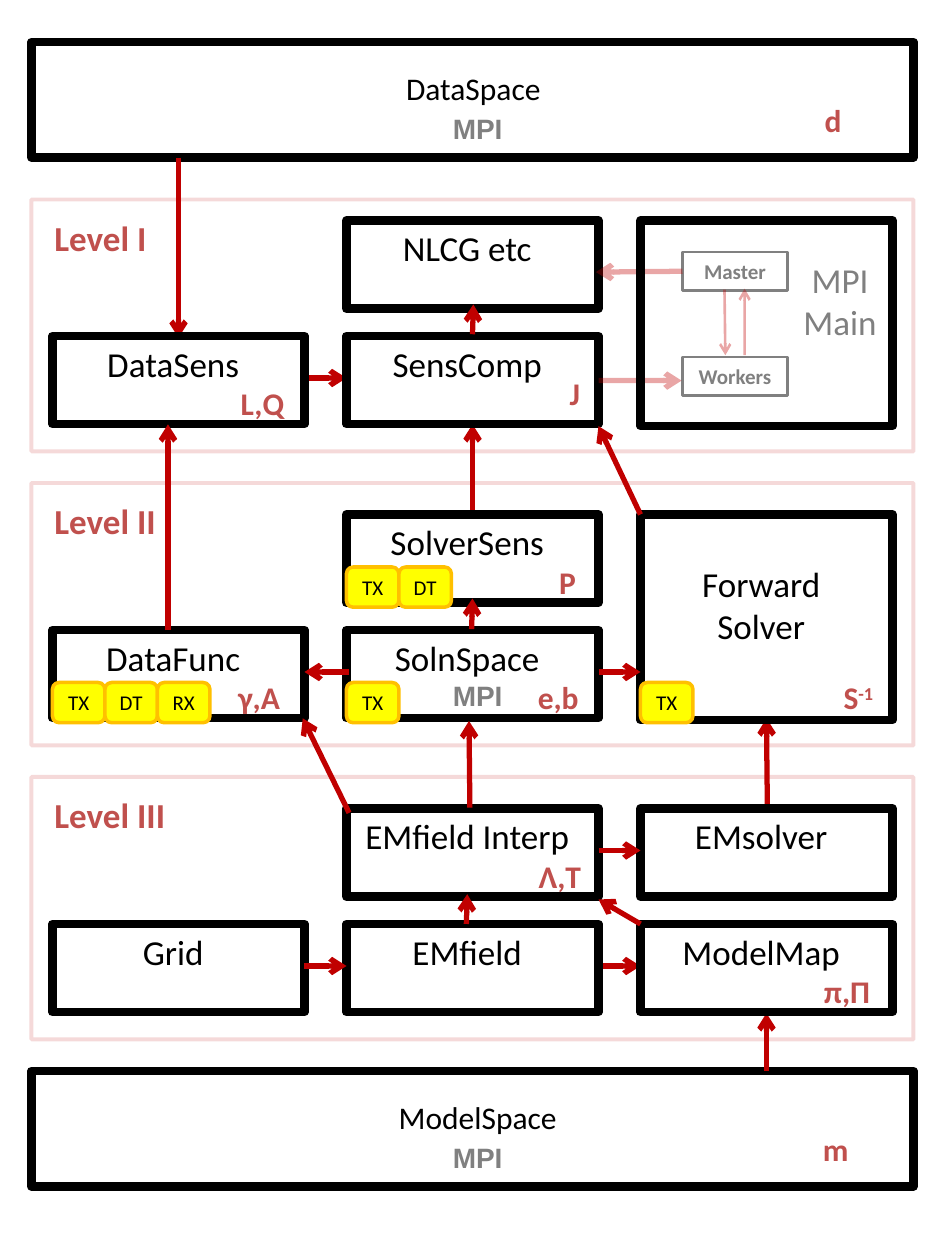
from lxml.etree import SubElement
from pptx import Presentation
from pptx.dml.color import RGBColor
from pptx.enum.shapes import MSO_CONNECTOR, MSO_SHAPE
from pptx.enum.text import MSO_ANCHOR, PP_ALIGN
from pptx.oxml.ns import qn
from pptx.util import Pt

COLORS = {"black": "000000", "arrow": "C00000", "symbol": "C0504D", "gray": "808080",
          "tag": "FFFF00", "tag_edge": "FFC000"}

# Grid of modules: column lefts, box sizes
COLUMNS = (30, 198, 366)
BOX_W, BOX_H, TALL_H = 144, 50.4, 117.4
TAG_W, TAG_H = 30, 23

# Levels: name, top, height
LEVELS = [("Level I", 114, 144), ("Level II", 276, 150), ("Level III", 444, 150)]

# Full-width spaces: name, top, name left, name top, name width
SPACES = [("DataSpace", 24, 222, 36, 97), ("ModelSpace", 612, 174, 624, 198)]

# Modules: name, column, top, tags
MODULES = [
    ("NLCG etc", 1, 126, ()),
    ("DataSens", 0, 192, ()),
    ("SensComp", 1, 192, ()),
    ("SolverSens", 1, 294, ("TX", "DT")),
    ("DataFunc", 0, 360, ("TX", "DT", "RX")),
    ("SolnSpace", 1, 360, ("TX",)),
    ("EMfield Interp", 1, 462, ()),
    ("EMsolver", 2, 462, ()),
    ("Grid", 0, 528, ()),
    ("EMfield", 1, 528, ()),
    ("ModelMap", 2, 528, ()),
]

# Symbols: text (^ starts a superscript), left, top, width
SYMBOLS = [
    ("d", 462, 54, 28), ("L,Q", 126, 216, 48), ("J", 318, 210, 21),
    ("P", 312, 318, 24.5), ("γ,A", 126, 384, 44), ("e,b", 300, 384, 38),
    ("S^-1", 474, 384, 33), ("Λ,T ", 300, 486, 44), ("π,Π ", 462, 552, 48),
    ("m ", 444, 642, 71),
]
MPI_TOPS = (60, 384, 648)

# Arrows: start x, start y, tip x, tip y
ARROWS_BEHIND = [
    (174, 216, 198, 216), (102, 90, 102, 193), (438, 612, 438, 579),
    (342, 552, 366, 552), (438.5, 461, 438, 410.5), (270, 294, 270, 242.5),
]
ARROWS_FRONT = [
    (366, 528, 342, 514), (342, 486, 366, 486), (269.5, 359.5, 270, 342),
    (199.5, 464.5, 173, 410.5), (268.5, 461.5, 268, 412), (199.5, 384, 174, 384),
    (342, 384, 366, 384), (96, 360, 96, 242.5), (366, 294, 342, 243.5),
    (174, 552, 198, 552), (266.5, 528, 267, 511), (270, 191, 270.5, 174),
]
# MPI arrows: start x, start y, tip x, tip y, line width
MPI_ARROWS = [
    (390, 155, 340.5, 155.5, 3), (342, 217.5, 389.5, 217.5, 3),
    (425.5, 203, 425.5, 165, 1.5), (414, 165.5, 414.5, 203, 1.5),
]
PROCESSES = [("Master", 144), ("Workers", 204)]

prs = Presentation()
prs.slide_width, prs.slide_height = Pt(540), Pt(720)
slide = prs.slides.add_slide(prs.slide_layouts[6])


def rgb(name):
    return RGBColor.from_string(COLORS[name])


def style_line(line, color, width, opacity=100):
    line.color.rgb = rgb(color)
    line.width = Pt(width)
    if opacity < 100:
        color_xml = line.fill._xPr.find(qn("a:solidFill"))[0]
        SubElement(color_xml, qn("a:alpha"), val=str(opacity * 1000))


def write(shape, text, size=20, color="black", bold=False, font="Calibri",
          align=PP_ALIGN.CENTER, anchor=MSO_ANCHOR.TOP, inset=0, inset_y=3.6):
    frame = shape.text_frame
    frame.word_wrap = True
    frame.vertical_anchor = anchor
    frame.margin_left = frame.margin_right = Pt(inset)
    frame.margin_top = frame.margin_bottom = Pt(inset_y)
    paragraph = frame.paragraphs[0]
    paragraph.alignment = align
    for i, part in enumerate(text.split("^")):
        run = paragraph.add_run()
        run.text = part
        run.font.size, run.font.bold, run.font.name = Pt(size), bold, font
        run.font.color.rgb = rgb(color)
        if i:
            run._r.get_or_add_rPr().set("baseline", "30000")


def add_label(text, x, y, w, h=32, **text_format):
    write(slide.shapes.add_textbox(Pt(x), Pt(y), Pt(w), Pt(h)), text, **text_format)


def add_box(x, y, w, h, color="black", width=5, opacity=100, fill=None,
            kind=MSO_SHAPE.RECTANGLE):
    box = slide.shapes.add_shape(kind, Pt(x), Pt(y), Pt(w), Pt(h))
    box.shadow.inherit = False
    if fill:
        box.fill.solid()
        box.fill.fore_color.rgb = rgb(fill)
    else:
        box.fill.background()
    style_line(box.line, color, width, opacity)
    return box


def add_arrow(x1, y1, x2, y2, width=3, opacity=100):
    arrow = slide.shapes.add_connector(MSO_CONNECTOR.STRAIGHT, Pt(x1), Pt(y1), Pt(x2), Pt(y2))
    style_line(arrow.line, "arrow", width, opacity)
    SubElement(arrow.line._get_or_add_ln(), qn("a:tailEnd"), type="arrow")
    SubElement(arrow._element.spPr, qn("a:effectLst"))


def add_tags(tags, x, y):
    for i, tag in enumerate(tags):
        box = add_box(x + i * TAG_W, y, TAG_W, TAG_H, "tag_edge", 2, fill="tag",
                      kind=MSO_SHAPE.ROUNDED_RECTANGLE)
        write(box, tag, size=12, anchor=MSO_ANCHOR.MIDDLE)


# Level frames and full-width spaces
for name, top, height in LEVELS:
    add_box(18, top, 504, height, "arrow", 2.25, 15)
for name, top, name_left, name_top, name_width in SPACES:
    add_box(18, top, 504, 66)
    add_label(name, name_left, name_top, name_width, 29, size=18)

# Modules, with the arrows that pass behind them
for arrow in ARROWS_BEHIND:
    add_arrow(*arrow)
for name, column, top, tags in MODULES:
    add_box(COLUMNS[column], top, BOX_W, BOX_H)
    add_label(name, COLUMNS[column], top, 138)
add_box(COLUMNS[2], 294, BOX_W, TALL_H)
add_label("Forward Solver", 390, 318, 90, 55)
for arrow in ARROWS_FRONT:
    add_arrow(*arrow)

# Tags
for name, column, top, tags in MODULES:
    add_tags(tags, COLUMNS[column], top + 30)
add_tags(["TX"], COLUMNS[2], 390)

# Level names, symbols and MPI marks
for name, top, height in LEVELS:
    add_label(name, 24, top + 6, 84, size=20, color="symbol", bold=True,
              align=PP_ALIGN.LEFT, inset=7.2)
for text, left, top, width in SYMBOLS:
    add_label(text, left, top, width, 29, size=18, color="symbol", bold=True)
for top in MPI_TOPS:
    add_label("MPI", 246, top, 54, 27, size=16, color="gray", bold=True, font="Arial")

# MPI main program
for name, top in PROCESSES:
    write(add_box(390, top, 60, 22, "gray", 1.5), name, size=12, color="gray",
          bold=True, anchor=MSO_ANCHOR.MIDDLE)
add_label("MPI Main", 450, 144, 60, 55, color="gray")
for arrow in MPI_ARROWS:
    add_arrow(*arrow, opacity=35)
add_box(COLUMNS[2], 126, BOX_W, TALL_H)

prs.save("out.pptx")
